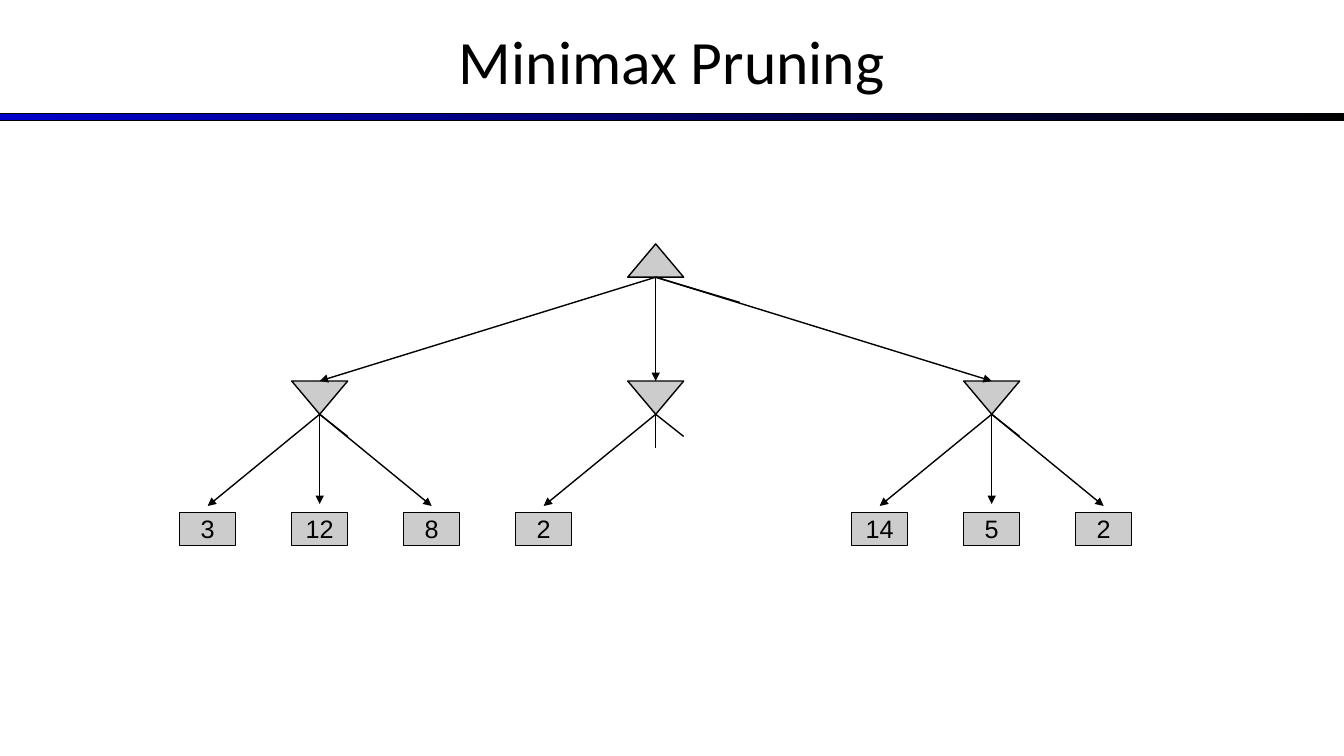
import pptx
import pptx.util
import pptx.dml.color
import pptx.enum.shapes
import pptx.enum.text
import pptx.oxml
import pptx.oxml.ns

TITLE = "Minimax Pruning"
# One list per min node; None marks a pruned leaf.
TREE = [["3", "12", "8"], ["2", None, None], ["14", "5", "2"]]

THEME = {
    "ink": "000000", "node": "CCCCCC", "bar": "0000CC",
    "title_font": "Calibri", "title_size": 44,
    "leaf_font": "Arial", "leaf_size": 18,
    "thin": 0.75, "line": 1,
}

W, H = 13.33, 7.5
COL = W / 12
FIRST_X = 2.06
NODE_W, NODE_H = COL / 2, 0.33
ROOT_Y, MIN_Y, LEAF_Y = 2.42, 3.78, 5.08
LEAF_TIPS = [5.02, 5, 5.02]
STUB = 0.33

SHAPE = pptx.enum.shapes.MSO_SHAPE
inch = pptx.util.Inches

prs = pptx.Presentation()
prs.slide_width, prs.slide_height = inch(W), inch(H)
s = prs.slides.add_slide(prs.slide_layouts[6])


def rgb(name):
    return pptx.dml.color.RGBColor.from_string(THEME[name])


def write(sp, text, font, size, wrap):
    tf = sp.text_frame
    tf.word_wrap = wrap
    tf.vertical_anchor = pptx.enum.text.MSO_ANCHOR.MIDDLE
    p = tf.paragraphs[0]
    p.alignment = pptx.enum.text.PP_ALIGN.CENTER
    r = p.add_run()
    r.text = text
    r.font.name, r.font.size = font, pptx.util.Pt(size)
    r.font.color.rgb = rgb("ink")


def shape(kind, x, y, w, h, width):
    sp = s.shapes.add_shape(kind, inch(x), inch(y), inch(w), inch(h))
    sp.shadow.inherit = False
    sp.fill.solid()
    sp.fill.fore_color.rgb = rgb("node")
    sp.line.color.rgb = rgb("ink")
    sp.line.width = pptx.util.Pt(width)
    return sp


def node(kind, center, y, width):
    return shape(kind, center - NODE_W / 2, y, NODE_W, NODE_H, width)


def edge(x1, y1, x2, y2, arrow=True):
    c = s.shapes.add_connector(pptx.enum.shapes.MSO_CONNECTOR.STRAIGHT,
                               inch(x1), inch(y1), inch(x2), inch(y2))
    c.line.color.rgb = rgb("ink")
    c.line.width = pptx.util.Pt(THEME["line"])
    if arrow:
        ln = c.line._get_or_add_ln()
        tail = pptx.oxml.parse_xml(
            f'<a:tailEnd {pptx.oxml.ns.nsdecls("a")} type="triangle"/>')
        ln.append(tail)
    c._element.spPr.append(
        pptx.oxml.parse_xml(f'<a:effectLst {pptx.oxml.ns.nsdecls("a")}/>'))


def stubs(x, y, dx, dy):
    """Short lines towards the middle and right children."""
    edge(x, y, x, y + STUB, arrow=False)
    edge(x, y, x + dx, y + dy, arrow=False)


bar = shape(SHAPE.RECTANGLE, 0, 1.13, W, 0.07, THEME["thin"])
bar.fill.gradient()
bar.fill.gradient_angle = 0
for stop, name, place in zip(bar.fill.gradient_stops, ("bar", "ink"), (0, 1)):
    stop.color.rgb = rgb(name)
    stop.position = place

title = s.shapes.add_textbox(0, inch(-0.03), inch(W), inch(1.25))
write(title, TITLE, THEME["title_font"], THEME["title_size"], True)

root_x = FIRST_X + 4 * COL
root_bottom = ROOT_Y + NODE_H
node(SHAPE.ISOSCELES_TRIANGLE, root_x, ROOT_Y, THEME["line"])
stubs(root_x, root_bottom, 0.75 * COL, 0.25)

for i, leaves in enumerate(TREE):
    min_x = FIRST_X + (3 * i + 1) * COL
    min_bottom = MIN_Y + NODE_H
    min_node = node(SHAPE.ISOSCELES_TRIANGLE, min_x, MIN_Y, THEME["line"])
    min_node.rotation = 180
    edge(root_x, root_bottom, min_x, MIN_Y)
    stubs(min_x, min_bottom, COL / 4, 0.22)
    for j, (value, tip) in enumerate(zip(leaves, LEAF_TIPS)):
        if value is None:
            continue
        leaf_x = min_x + (j - 1) * COL
        edge(min_x, min_bottom, leaf_x, tip)
        leaf = node(SHAPE.RECTANGLE, leaf_x, LEAF_Y, THEME["thin"])
        write(leaf, value, THEME["leaf_font"], THEME["leaf_size"], False)

prs.save("out.pptx")
